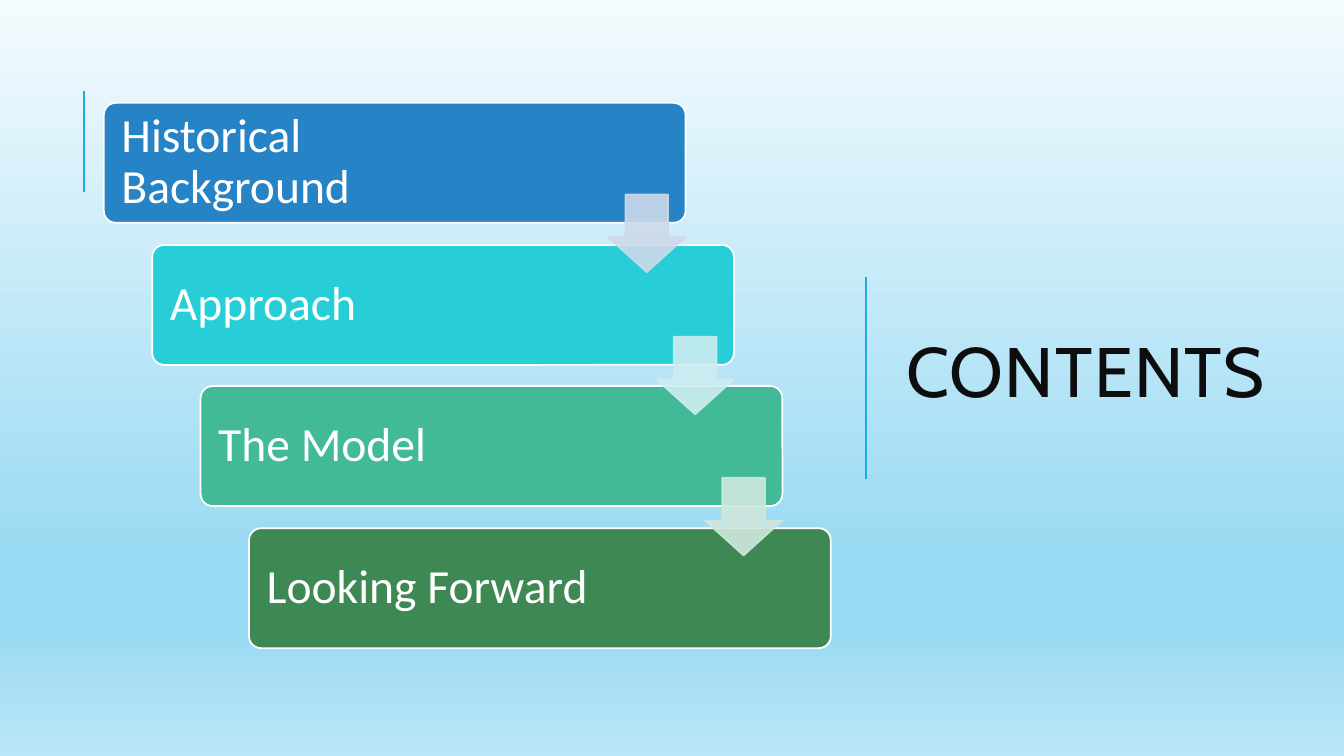
from typing import NamedTuple

from lxml import etree
from pptx import Presentation
from pptx.dml import color
from pptx.enum import shapes, text
from pptx.oxml import ns
from pptx import util as u

PX = 9144
HUES = {
    "sky": "1CADE4", "ink": "0D0D0D", "white": "FFFFFF",
    "blue": "2683C6", "aqua": "27CED7", "teal": "42BA97", "green": "3E8853",
    "pale blue": "CDD9EA", "pale aqua": "CDEDF0", "pale teal": "CFE7DD",
    "top": "F4FBFE", "deep": "99DAF3", "base": "BBE6F7",
}
STOPS = [(0, "top"), (74, "deep"), (83, "deep"), (100, "base")]


class Step(NamedTuple):
    label: str
    hue: str


class Rule(NamedTuple):
    x: int
    top: int
    end: int


STEPS = [
    Step("Historical Background", "blue"),
    Step("Approach", "aqua"),
    Step("The Model", "teal"),
    Step("Looking Forward", "green"),
]
RULES = [Rule(83, 90, 190), Rule(859, 275, 475)]
LEFT, TOP, WIDE, HIGH = 103, 102, 577, 119
SHIFT, DROP = 48, 422 / 3
ARROW = 77


def px(n: int) -> u.Emu:
    return u.Emu(n * PX)


def rgb(hue: str) -> color.RGBColor:
    return color.RGBColor.from_string(HUES[hue])


def paint(slide) -> None:
    fill = slide.background.fill
    fill.gradient()
    fill.gradient_angle = 270
    stops = slide.element.find(".//" + ns.qn("a:gsLst"))
    for old in list(stops):
        stops.remove(old)
    for pos, hue in STOPS:
        stop = etree.SubElement(stops, ns.qn("a:gs"), pos=str(pos * 1000))
        etree.SubElement(stop, ns.qn("a:srgbClr"), val=HUES[hue])


def rule(slide, item: Rule) -> None:
    line = slide.shapes.add_connector(
        shapes.MSO_CONNECTOR.STRAIGHT,
        px(item.x), px(item.end), px(item.x), px(item.top))
    line.line.color.rgb = rgb("sky")
    line.line.width = u.Pt(1.5)
    etree.SubElement(line.element.spPr, ns.qn("a:effectLst"))


def block(slide, kind, x: int, y: int, w: int, h: int,
          fill: str, edge: str, adjust: list):
    shape = slide.shapes.add_shape(kind, px(x), px(y), px(w), px(h))
    for i, value in enumerate(adjust):
        shape.adjustments[i] = value
    shape.shadow.inherit = False
    shape.fill.solid()
    shape.fill.fore_color.rgb = rgb(fill)
    shape.line.color.rgb = rgb(edge)
    shape.line.width = u.Pt(1.25)
    return shape


def write(shape, words: str, face: str, size: int, hue: str, gap: float):
    frame = shape.text_frame
    frame.text = words
    frame.word_wrap = True
    frame.vertical_anchor = text.MSO_ANCHOR.MIDDLE
    para = frame.paragraphs[0]
    para.alignment = text.PP_ALIGN.LEFT
    para.line_spacing = gap
    font = para.runs[0].font
    font.name = face
    font.size = u.Pt(size)
    font.color.rgb = rgb(hue)
    return frame


def card(slide, row: int, step: Step) -> None:
    shape = block(slide, shapes.MSO_SHAPE.ROUNDED_RECTANGLE,
                  LEFT + SHIFT * row, TOP + round(DROP * row), WIDE, HIGH,
                  step.hue, "white", [0.1])
    frame = write(shape, step.label, "Calibri", 34, "white", 0.9)
    frame.margin_left = frame.margin_top = frame.margin_bottom = px(14)
    frame.margin_right = px(145)


def arrow(slide, row: int, hue: str) -> None:
    shape = block(slide, shapes.MSO_SHAPE.DOWN_ARROW,
                  LEFT + 500 + SHIFT * row, TOP + 91 + round(DROP * row),
                  ARROW, ARROW, hue, hue, [0.55, 0.45])
    for tint in shape.element.spPr.iter(ns.qn("a:srgbClr")):
        etree.SubElement(tint, ns.qn("a:alpha"), val="90000")


def title(slide) -> None:
    box = slide.shapes.add_textbox(px(889), px(70), px(380), px(609))
    frame = write(box, "CONTENTS", "Cabin", 50, "ink", 0.8)
    frame.paragraphs[0].runs[0].font._element.set("spc", "100")


def main() -> None:
    deck = Presentation()
    deck.slide_width, deck.slide_height = px(1333), px(750)
    slide = deck.slides.add_slide(deck.slide_layouts[6])
    paint(slide)
    for item in RULES:
        rule(slide, item)
    title(slide)
    for row, step in enumerate(STEPS):
        card(slide, row, step)
    for row, step in enumerate(STEPS[:-1]):
        arrow(slide, row, "pale " + step.hue)
    deck.save("out.pptx")


if __name__ == "__main__":
    main()
